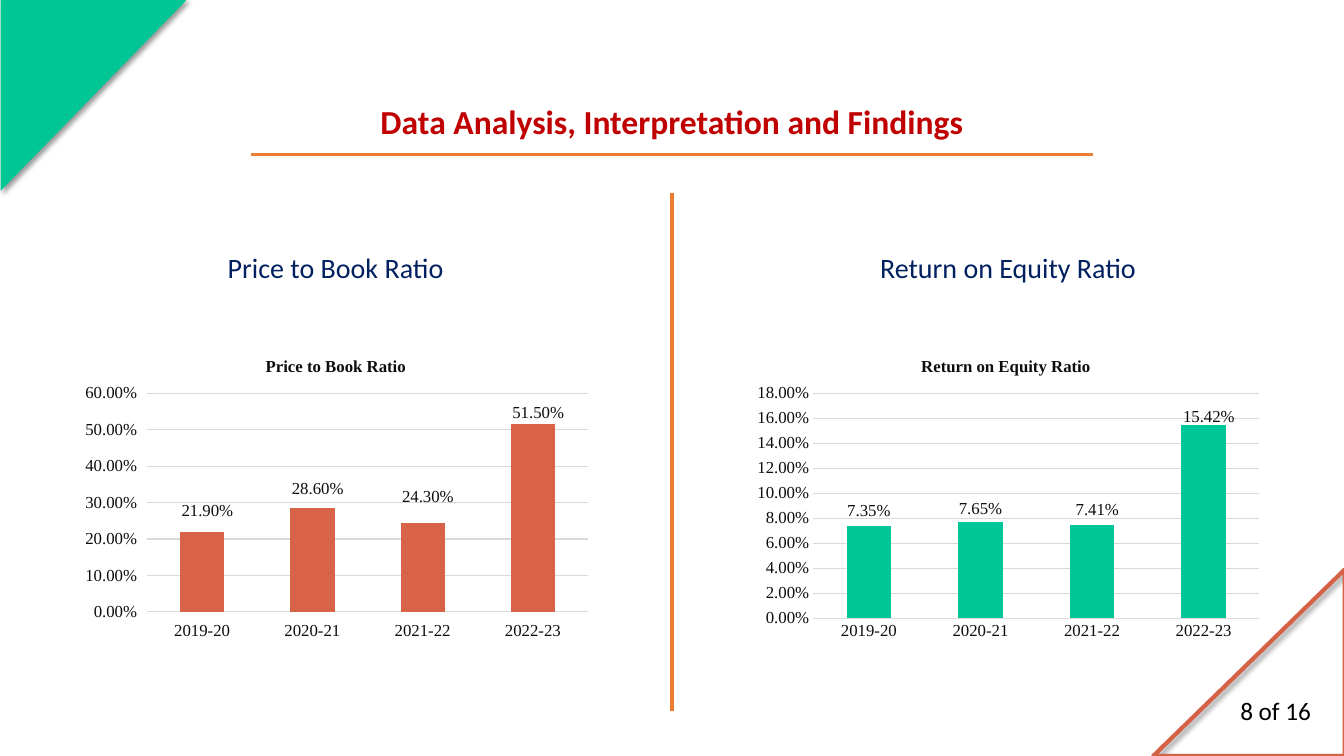
"""Build the ratio findings slide with two column charts."""
from dataclasses import dataclass

from lxml.etree import SubElement
from pptx import Presentation
from pptx.chart.data import CategoryChartData
from pptx.dml.color import RGBColor
from pptx.enum.chart import XL_CHART_TYPE, XL_TICK_MARK
from pptx.enum.shapes import MSO_CONNECTOR, MSO_SHAPE
from pptx.enum.text import PP_ALIGN
from pptx.oxml.ns import qn
from pptx.util import Pt


@dataclass(frozen=True)
class Theme:
    body: str = "Calibri"
    figures: str = "Times New Roman"
    heading: str = "C00000"
    subheading: str = "002060"
    black: str = "000000"
    chart_text: str = "0D0D0D"
    grid: str = "D9D9D9"
    rule: str = "ED7D31"
    corner: str = "00C595"
    corner_line: str = "D56246"
    book_bars: str = "D86348"
    equity_bars: str = "00C798"
    heading_size: int = 24
    subheading_size: int = 20
    page_size: int = 18
    chart_size: int = 12


theme = Theme()
deck = Presentation()
deck.slide_width, deck.slide_height = Pt(960), Pt(540)
slide = deck.slides.add_slide(deck.slide_layouts[6])


def add_text(text, *, at, size, color, bold=False, after=0):
    box = slide.shapes.add_textbox(*map(Pt, at))
    box.text_frame.word_wrap = True
    paragraph = box.text_frame.paragraphs[0]
    paragraph.alignment = PP_ALIGN.CENTER
    paragraph.space_after = Pt(after)
    run = paragraph.add_run()
    run.text = text
    run.font.name, run.font.size, run.font.bold = theme.body, Pt(size), bold
    run.font.color.rgb = RGBColor.from_string(color)


def place(parent, index, **fractions):
    layout = parent.find(qn("c:layout"))
    if layout is None:
        layout = SubElement(parent, qn("c:layout"))
        parent.insert(index, layout)
    manual = SubElement(layout, qn("c:manualLayout"))
    for tag, value in fractions.items():
        SubElement(manual, qn(f"c:{tag}"), val=str(value))


ratios = [
    dict(name="Price to Book Ratio", left=52.56, color=theme.book_bars,
         values=(0.219, 0.286, 0.243, 0.515), top=0.6, step=0.1,
         tick=XL_TICK_MARK.OUTSIDE, title_x=0.36, plot=(0.14, 0.84, 0.71),
         nudges=((0.01, -0.2), (0.01, -0.23), (0.01, -0.23), (0.01, -0.34)),
         caption=(48.96, 175.68, 381.6, 31.68)),
    dict(name="Return on Equity Ratio", left=532.08, color=theme.equity_bars,
         values=(0.0735, 0.0765, 0.0741, 0.1542), top=0.18, step=0.02,
         tick=XL_TICK_MARK.NONE, title_x=0.33, plot=(0.13, 0.85, 0.73),
         nudges=((0, -0.2), (0, -0.2), (0.01, -0.2), (0.01, -0.34)),
         caption=(503.28, 175.68, 433.44, 31.68)),
]

for ratio in ratios:
    figures = CategoryChartData(number_format="0.00%")
    figures.categories = ["2019-20", "2020-21", "2021-22", "2022-23"]
    figures.add_series("Series 1", ratio["values"])
    chart = slide.shapes.add_chart(
        XL_CHART_TYPE.COLUMN_STACKED, Pt(ratio["left"]), Pt(243.36),
        Pt(375.12), Pt(220.32), figures).chart
    chart.has_legend = False
    chart.font.name, chart.font.size = theme.figures, Pt(theme.chart_size)
    chart.font.color.rgb = RGBColor.from_string(theme.chart_text)

    chart.has_title = True
    title = chart.chart_title
    title.include_in_layout = False
    title.text_frame.text = ratio["name"]
    title_font = title.text_frame.paragraphs[0].runs[0].font
    title_font.name, title_font.size = theme.figures, Pt(theme.chart_size)
    title_font.bold = True
    title_font.color.rgb = RGBColor.from_string(theme.chart_text)
    place(title._element, 1, xMode="edge", yMode="edge", x=ratio["title_x"], y=0.04)

    for axis in (chart.category_axis, chart.value_axis):
        axis.major_tick_mark = ratio["tick"]
        axis.minor_tick_mark = XL_TICK_MARK.NONE
        axis.format.line.fill.background()
    scale = chart.value_axis
    scale.minimum_scale, scale.maximum_scale = 0, ratio["top"]
    scale.major_unit = ratio["step"]
    scale.tick_labels.number_format = "0.00%"
    scale.tick_labels.number_format_is_linked = False
    scale.major_gridlines.format.line.width = Pt(0.75)
    scale.major_gridlines.format.line.color.rgb = RGBColor.from_string(theme.grid)

    columns = chart.plots[0]
    columns.gap_width, columns.overlap, columns.vary_by_categories = 150, 100, False
    series = columns.series[0]
    series.format.fill.solid()
    series.format.fill.fore_color.rgb = RGBColor.from_string(ratio["color"])
    series.data_labels.show_value = True
    series.data_labels.number_format = "0.00%"
    series.data_labels.number_format_is_linked = False
    for year in range(4):
        label_font = series.points[year].data_label.font
        label_font.name, label_font.size = theme.figures, Pt(theme.chart_size)
        label_font.color.rgb = RGBColor.from_string(theme.chart_text)
    for label, (x, y) in zip(series._element.iter(qn("c:dLbl")), ratio["nudges"]):
        place(label, 1, x=x, y=y)
    for leader in series._element.iter(qn("c:showLeaderLines")):
        leader.set("val", "0")

    plot_x, plot_width, plot_height = ratio["plot"]
    place(columns._element.getparent(), 0, layoutTarget="inner", xMode="edge",
          yMode="edge", x=plot_x, y=0.17, w=plot_width, h=plot_height)

    add_text(ratio["name"], at=ratio["caption"], size=theme.subheading_size,
             color=theme.subheading, after=8)

for left, top, turn in ((-1.44, 1.44, 90), (823.68, 406.8, 180)):
    corner = slide.shapes.add_shape(
        MSO_SHAPE.RIGHT_TRIANGLE, Pt(left), Pt(top), Pt(136.8), Pt(133.2))
    corner.rotation = turn
    corner.shadow.inherit = False
    if turn == 90:
        corner.fill.solid()
        corner.fill.fore_color.rgb = RGBColor.from_string(theme.corner)
        corner.line.fill.background()
    else:
        corner._element.spPr.find(qn("a:xfrm")).set("flipV", "1")
        corner.fill.background()
        corner.line.width = Pt(3)
        corner.line.color.rgb = RGBColor.from_string(theme.corner_line)
    shadow = SubElement(
        corner._element.spPr.find(qn("a:effectLst")), qn("a:outerShdw"),
        blurRad=str(Pt(4)), dist=str(Pt(3)), dir="2700000", algn="tl", rotWithShape="0")
    shade = SubElement(shadow, qn("a:srgbClr"), val=theme.black)
    SubElement(shade, qn("a:alpha"), val="40000")

for ends, weight in (((179.28, 110.16, 780.48, 110.16), 2.25),
                     ((480, 137.52, 480, 507.6), 3)):
    rule = slide.shapes.add_connector(MSO_CONNECTOR.STRAIGHT, *map(Pt, ends))
    rule.line.width = Pt(weight)
    rule.line.color.rgb = RGBColor.from_string(theme.rule)
    SubElement(rule._element.spPr, qn("a:effectLst"))

add_text("Data Analysis, Interpretation and Findings", at=(55.44, 68.4, 848.88, 36),
         size=theme.heading_size, color=theme.heading, bold=True)
add_text("8 of 16", at=(862.56, 493.2, 97.2, 28.8),
         size=theme.page_size, color=theme.black)

deck.save("out.pptx")
